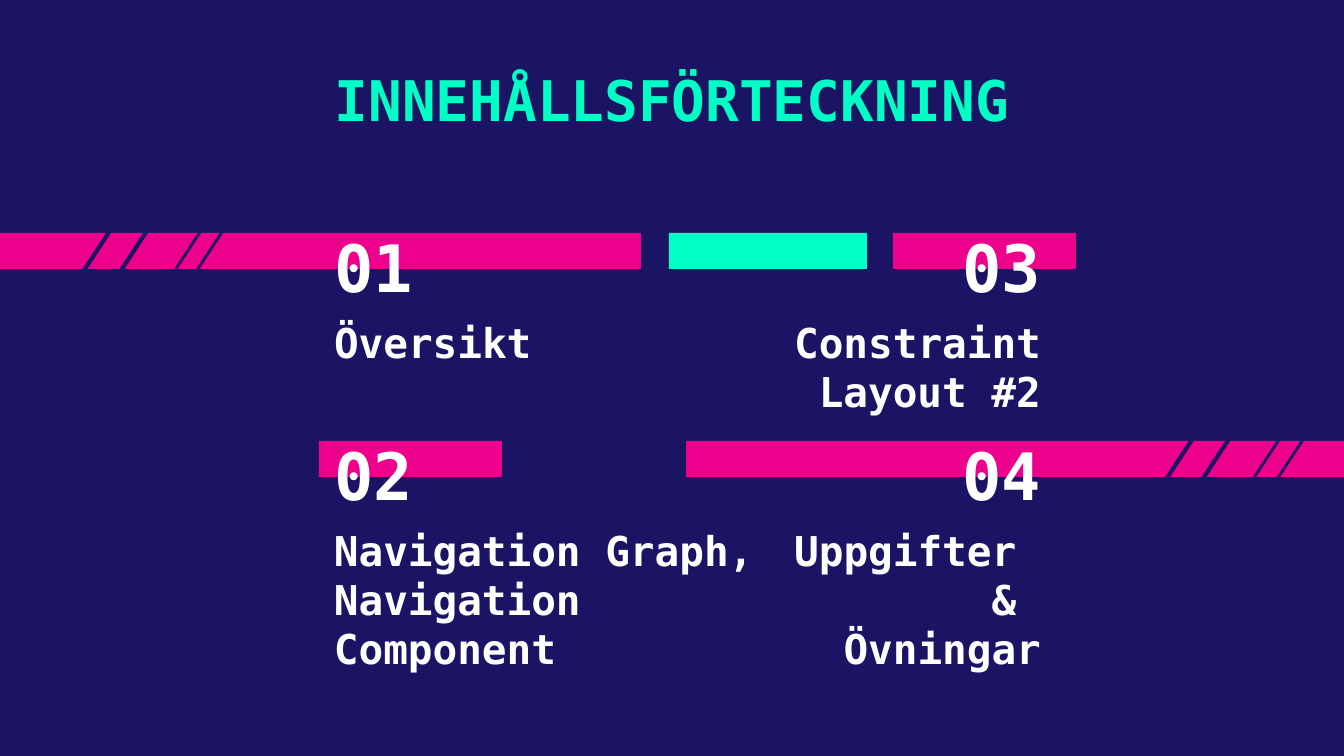
from pptx import Presentation
from pptx.dml.color import RGBColor
from pptx.enum.shapes import MSO_CONNECTOR, MSO_SHAPE
from pptx.enum.text import MSO_ANCHOR, MSO_AUTO_SIZE, PP_ALIGN
from pptx.oxml.ns import qn
from pptx.util import Pt
from lxml.etree import SubElement

NAVY = RGBColor(0x1B, 0x14, 0x64)
PINK = RGBColor(0xEC, 0x00, 0x8C)
MINT = RGBColor(0x00, 0xFF, 0xC5)
WHITE = RGBColor(0xFF, 0xFF, 0xFF)
FONT = "DejaVu Sans Mono"
LEFT, RIGHT = PP_ALIGN.LEFT, PP_ALIGN.RIGHT

TITLE = "INNEHÅLLSFÖRTECKNING"

# number, paragraphs (each a list of lines), column, row, text left, text width
TOPICS = [
    ("01", [["Översikt"]], 0, 0, 321, 319),
    ("03", [["Constraint Layout #2"]], 1, 0, 630, 424),
    ("02", [["Navigation Graph,"], ["Navigation Component"]], 0, 1, 321, 454),
    ("04", [["Uppgifter ", "& ", "Övningar"]], 1, 1, 735, 319),
]
COLUMNS = [(321, LEFT), (735, RIGHT)]
ROW_TOPS = [233, 441]
NUMBER_W = 319
NUMBER_DROP, TEXT_DROP = 38, 84

# row, left, width, colour
BAR_H = 36
BARS = [
    (0, 0, 641, PINK),
    (0, 893, 183, PINK),
    (1, 319, 183, PINK),
    (1, 686, 658, PINK),
    (0, 669, 198, MINT),
]

# x, y of the upper end, line width in points
STRIPE_DX, STRIPE_DY = -76, 116
STRIPES = [
    (138, 188, 2.25), (160, 211, 2.25), (206, 223, 1.5), (228, 223, 1.5),
    (1243, 362, 2.25), (1265, 384, 2.25), (1286, 429, 1.5), (1310, 429, 1.5),
]


def px(n):
    return round(n * 914400 / 134.4)


def fill_text(sp, paragraphs, size, color, align, anchor, inset_y=0):
    tf = sp.text_frame
    tf.word_wrap = True
    tf.auto_size = MSO_AUTO_SIZE.NONE
    tf.vertical_anchor = anchor
    tf.margin_left = tf.margin_right = px(13)
    tf.margin_top = tf.margin_bottom = px(inset_y)
    for i, lines in enumerate(paragraphs):
        p = tf.add_paragraph() if i else tf.paragraphs[0]
        p.alignment = align
        for j, line in enumerate(lines):
            if j:
                p.add_line_break()
            r = p.add_run()
            r.text = line
            r.font.name = FONT
            r.font.size = Pt(size)
            r.font.bold = True
            r.font.color.rgb = color


def add_text(s, x, y, w, h, *style):
    sp = s.shapes.add_textbox(px(x), px(y), px(w), px(h))
    fill_text(sp, *style)


def add_bar(s, row, x, w, color):
    sp = s.shapes.add_shape(MSO_SHAPE.RECTANGLE, px(x), px(ROW_TOPS[row]), px(w), px(BAR_H))
    sp.shadow.inherit = False
    sp.fill.solid()
    sp.fill.fore_color.rgb = color
    sp.line.fill.background()


def add_stripe(s, x, y, width):
    line = s.shapes.add_connector(
        MSO_CONNECTOR.STRAIGHT, px(x), px(y), px(x + STRIPE_DX), px(y + STRIPE_DY))
    line.line.color.rgb = NAVY
    line.line.width = Pt(width)
    SubElement(line._element.spPr, qn("a:effectLst"))


def main():
    prs = Presentation()
    prs.slide_width, prs.slide_height = px(1344), px(756)
    s = prs.slides.add_slide(prs.slide_layouts[5])
    s.background.fill.solid()
    s.background.fill.fore_color.rgb = NAVY

    title = s.shapes.title
    title.left, title.top, title.width, title.height = px(188), px(50), px(968), px(98)
    fill_text(title, [[TITLE]], 30, MINT, PP_ALIGN.CENTER, MSO_ANCHOR.MIDDLE, 13)

    for bar in BARS:
        add_bar(s, *bar)
    for number, paragraphs, column, row, x, w in TOPICS:
        number_x, align = COLUMNS[column]
        top = ROW_TOPS[row]
        add_text(s, number_x, top + NUMBER_DROP, NUMBER_W, 35,
                 [[number]], 35, WHITE, align, MSO_ANCHOR.BOTTOM)
        add_text(s, x, top + TEXT_DROP, w, 63,
                 paragraphs, 22, WHITE, align, MSO_ANCHOR.TOP)
    for stripe in STRIPES:
        add_stripe(s, *stripe)

    prs.save("out.pptx")


if __name__ == "__main__":
    main()
